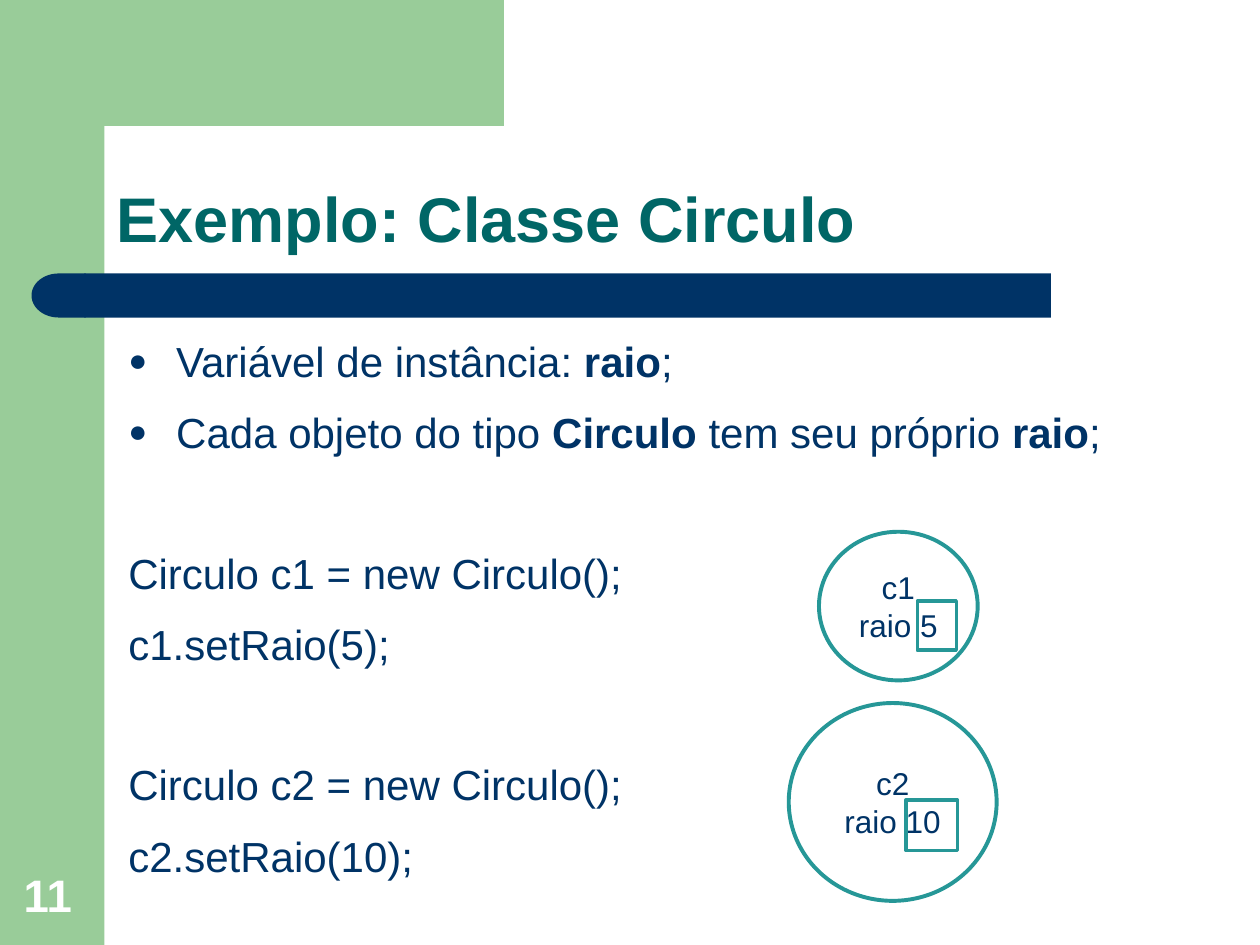
from math import cos, pi, sin

from lxml import etree
from pptx import Presentation
from pptx import util as u
from pptx.dml.color import RGBColor
from pptx.enum import shapes, text
from pptx.oxml import ns

GREEN = RGBColor(0x99, 0xCC, 0x99)
NAVY = RGBColor(0x00, 0x33, 0x66)
TEAL = RGBColor(0x00, 0x66, 0x66)
AQUA = RGBColor(0x26, 0x97, 0x97)
WHITE = RGBColor(0xFF, 0xFF, 0xFF)
KIND = shapes.MSO_SHAPE
ANCHOR = text.MSO_ANCHOR
INCH = u.Inches


def write(par, words, size=24, color=NAVY, bold=False):
    run = par.add_run()
    run.text = words
    run.font.name = "Arial"
    run.font.size = u.Pt(size)
    run.font.bold = bold
    run.font.color.rgb = color


def mark(par):
    """Give the paragraph a round bullet with a hanging indent."""
    props = par._p.get_or_add_pPr()
    props.set("marL", str(INCH(0.38)))
    props.set("indent", str(-INCH(0.38)))
    color = etree.SubElement(props, ns.qn("a:buClr"))
    etree.SubElement(color, ns.qn("a:srgbClr"), val=str(NAVY))
    etree.SubElement(props, ns.qn("a:buSzPct"), val="75000")
    etree.SubElement(props, ns.qn("a:buFont"), typeface="Arial")
    etree.SubElement(props, ns.qn("a:buChar"), char="●")


class Page:
    def __init__(self, slide, font="Arial"):
        self.slide = slide
        self.font = font

    def paint(self, item, fill=None, line=None, width=2):
        item.shadow.inherit = False
        if fill is None:
            item.fill.background()
        else:
            item.fill.solid()
            item.fill.fore_color.rgb = fill
        if line is None:
            item.line.fill.background()
        else:
            item.line.color.rgb = line
            item.line.width = u.Pt(width)
        return item

    def shape(self, kind, box, **style):
        item = self.slide.shapes.add_shape(kind, *map(INCH, box))
        return self.paint(item, **style)

    def outline(self, points, **style):
        pen = self.slide.shapes.build_freeform(*points[0], scale=INCH(1))
        pen.add_line_segments(points[1:], close=True)
        return self.paint(pen.convert_to_shape(), **style)

    def text(self, box, anchor=ANCHOR.TOP):
        frame = self.slide.shapes.add_textbox(*map(INCH, box)).text_frame
        frame.word_wrap = True
        frame.vertical_anchor = anchor
        return frame

    def circle(self, box, name, value, field):
        """Draw an object with its name and a framed field value."""
        item = self.shape(KIND.OVAL, box, line=AQUA, width=2.25)
        frame = item.text_frame
        frame.word_wrap = False
        frame.vertical_anchor = ANCHOR.MIDDLE
        for par, words in ((frame.paragraphs[0], name),
                           (frame.add_paragraph(), f"raio {value}")):
            par.alignment = text.PP_ALIGN.CENTER
            write(par, words, size=18)
        self.shape(KIND.RECTANGLE, field, line=AQUA)


def frame_art(page):
    page.shape(KIND.RECTANGLE, (0, 0, 0.83, 7.5), fill=GREEN)
    steps = 16
    angles = [pi / 2 * i / steps for i in range(steps + 1)]
    curve = [(1.13 - 0.3 * sin(a), 1.16 - 0.33 * cos(a)) for a in angles]
    page.outline([(3.5, 0), (3.5, 0.83), *curve,
                  (0.83, 1.28), (0.5, 1.28), (0.5, 0)], fill=GREEN)
    bar = page.shape(KIND.ROUNDED_RECTANGLE, (0.67, 2.17, 7.67, 0.35),
                     fill=NAVY)
    bar.adjustments[0] = 0
    cap = page.shape(KIND.FLOWCHART_DELAY, (0.25, 2.17, 0.43, 0.35),
                     fill=NAVY)
    cap.rotation = 180


def body(page):
    near, far = 12.2, 51.3
    # Each line: space before, bulleted, pieces (every second one is bold)
    lines = [
        (0, True, ["Variável de instância: ", "raio", ";"]),
        (near, True, ["Cada objeto do tipo ", "Circulo",
                      " tem seu próprio ", "raio", ";"]),
        (far, False, ["Circulo c1 = new Circulo();"]),
        (near, False, ["c1.setRaio(5);"]),
        (far, False, ["Circulo c2 = new Circulo();"]),
        (near, False, ["c2.setRaio(10);"]),
    ]
    frame = page.text((0.92, 2.58, 8.41, 4.55))
    frame.margin_top = INCH(0.08)
    for i, (space, dot, parts) in enumerate(lines):
        par = frame.add_paragraph() if i else frame.paragraphs[0]
        par.space_before = u.Pt(space)
        if dot:
            mark(par)
        for j, words in enumerate(parts):
            write(par, words, bold=j % 2 == 1)


def main():
    deck = Presentation()
    deck.slide_width, deck.slide_height = INCH(10), INCH(7.5)
    page = Page(deck.slides.add_slide(deck.slide_layouts[6]))
    frame_art(page)

    number = page.text((0.09, 6.83, 0.64, 0.53), ANCHOR.BOTTOM)
    write(number.paragraphs[0], "11", size=26, color=WHITE, bold=True)
    title = page.text((0.83, 0.83, 8.67, 1.25), ANCHOR.BOTTOM)
    title.paragraphs[0].line_spacing = 0.9
    write(title.paragraphs[0], "Exemplo: Classe Circulo",
          size=36, color=TEAL, bold=True)

    body(page)
    page.circle((6.5, 4.22, 1.26, 1.18), "c1", 5, (7.28, 4.77, 0.31, 0.39))
    page.circle((6.26, 5.58, 1.65, 1.57), "c2", 10, (7.19, 6.35, 0.41, 0.4))
    deck.save("out.pptx")


if __name__ == "__main__":
    main()
